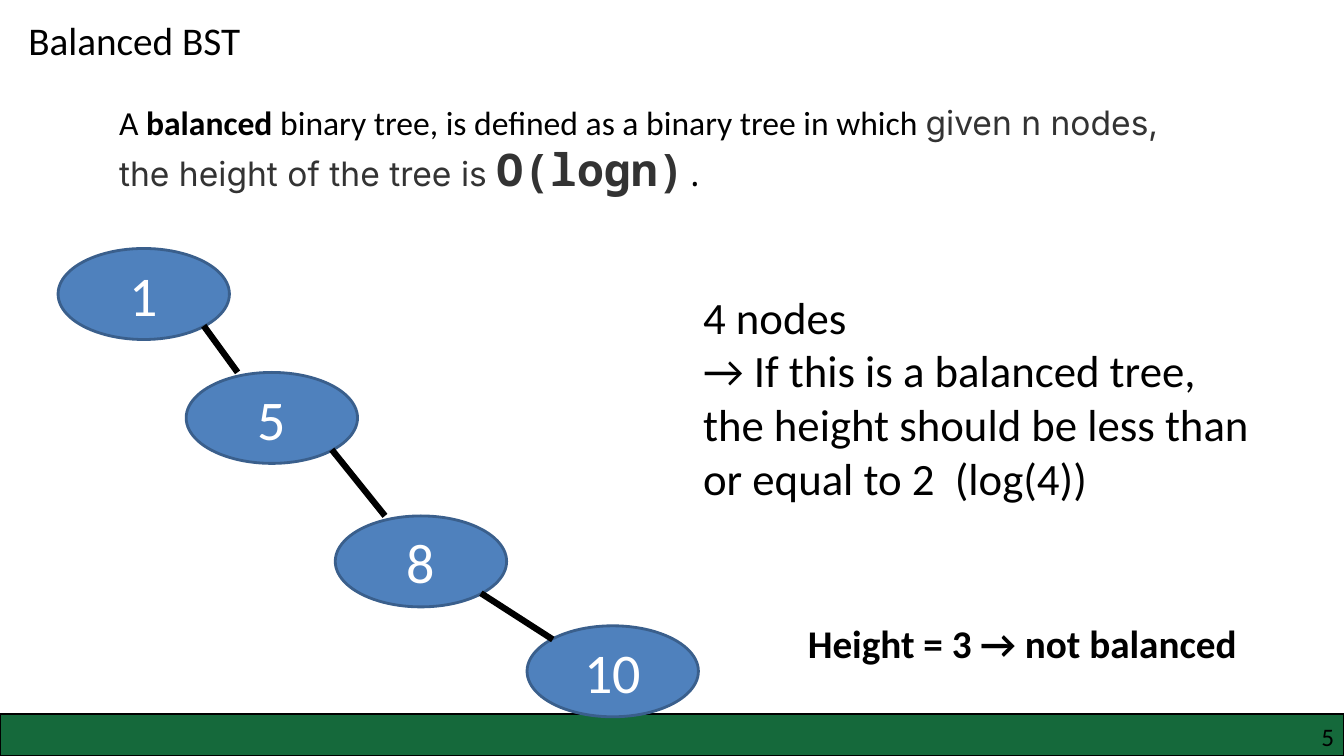
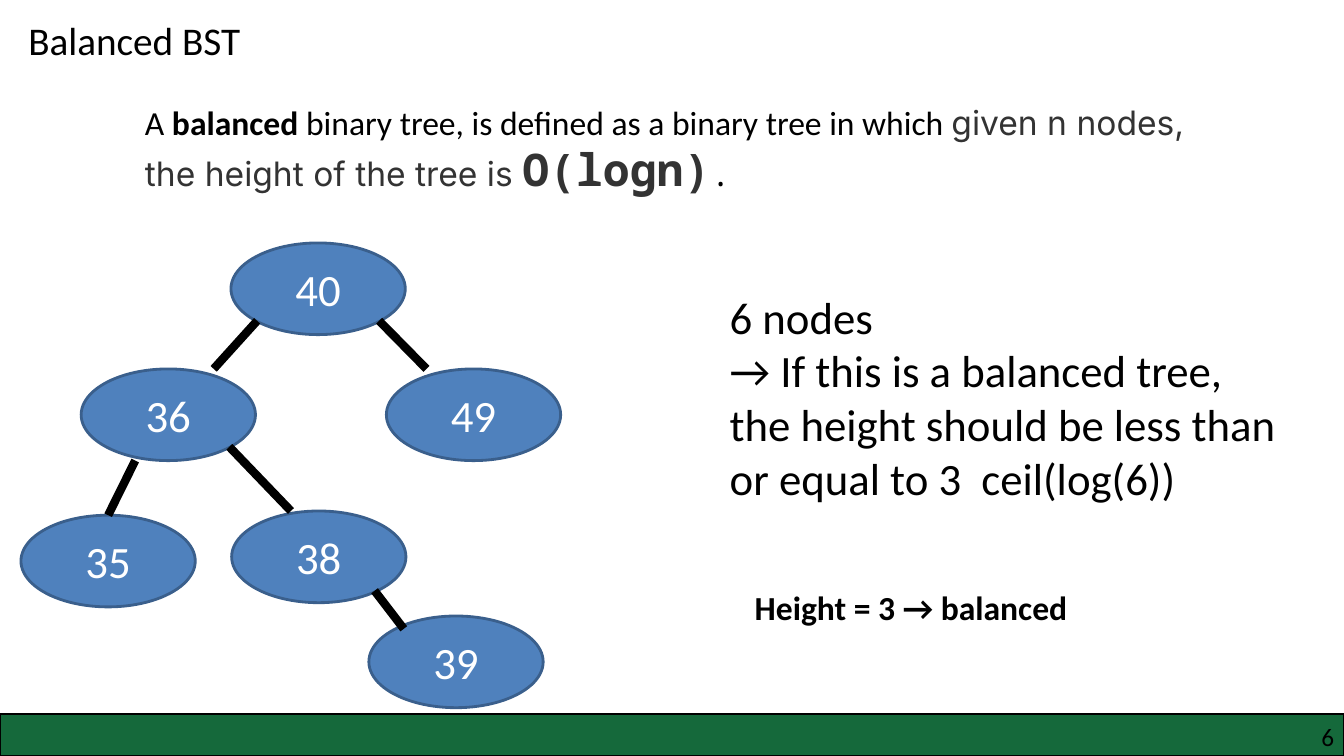
from lxml.etree import SubElement
from pptx import Presentation
from pptx.dml.color import RGBColor
from pptx.enum.shapes import MSO_CONNECTOR, MSO_SHAPE
from pptx.enum.text import MSO_ANCHOR, MSO_AUTO_SIZE, PP_ALIGN
from pptx.oxml.ns import qn
from pptx.util import Pt

GREEN, BLUE, NAVY = "15693B", "4F81BD", "3A5F8C"
BLACK, GRAY, WHITE = "000000", "333333", "FFFFFF"
W, H = 960, 540
BAND_TOP = 510


def color(value):
    return RGBColor.from_string(value)


def write(sp, box, paragraphs, align=PP_ALIGN.LEFT, anchor=MSO_ANCHOR.TOP):
    """Place a shape and fill it with paragraphs of (text, format) runs."""
    sp.left, sp.top, sp.width, sp.height = [Pt(v) for v in box]
    tf = sp.text_frame
    tf.word_wrap = True
    tf.auto_size = MSO_AUTO_SIZE.NONE
    tf.vertical_anchor = anchor
    for i, runs in enumerate(paragraphs):
        p = tf.paragraphs[0] if i == 0 else tf.add_paragraph()
        p.alignment = align
        p.space_before = Pt(0)
        for text, fmt in runs:
            r = p.add_run()
            r.text = text
            values = {"name": "Calibri", "bold": False, "color": BLACK, **fmt}
            r.font.color.rgb = color(values.pop("color"))
            for key, value in values.items():
                setattr(r.font, key, value)
    return tf


# Text formats
F24, F28, F32 = [{"size": Pt(n)} for n in (24, 28, 32)]
INTER = {**F24, "name": "Inter", "color": GRAY}
MONO = {**F32, "name": "Noto Sans Mono", "color": GRAY, "bold": True}
DEFINITION = [
    ("A ", F24),
    ("balanced", {**F24, "bold": True}),
    (" binary tree, is defined as a binary tree in which ", F24),
    ("given n nodes, the height of the tree is ", INTER),
    ("O(logn)", MONO),
    (".", {**F24, "name": "Noto Sans Mono"}),
]

# Nodes hold left and top; edges hold parent and child, each with
# the end point as a fraction of the node's width and height
LEFT, RIGHT = (0.15, 0.85), (0.85, 0.85)
TOP = (0.5, 0)
SLIDES = [
    {
        "number": "5", "text_left": 78, "claim_left": 495,
        "claim": ["4 nodes", "→ If this is a balanced tree, the height should "
                  "be less than or equal to 2  (log(4))"],
        "verdict": "Height = 3 → not balanced",
        "verdict_box": (570, 438.5, 340, 41), "verdict_size": 28,
        "node_size": (122.4, 65), "font_size": 40, "edge_width": 4.5,
        "nodes": {"1": (41.5, 177.5), "5": (133, 266),
                  "8": (239.5, 368.5), "10": (376.5, 447)},
        "edges": [("1", RIGHT, "5", (0.3, 0)),
                  ("5", RIGHT, "8", (0.29, 0)),
                  ("8", RIGHT, "10", (0.15, 0.15))],
    },
    {
        "number": "6", "text_left": 96.5, "claim_left": 514,
        "claim": ["6 nodes", "→ If this is a balanced tree, the height should "
                  "be less than or equal to 3  ceil(log(6))"],
        "verdict": "Height = 3 → balanced",
        "verdict_box": (532, 415.5, 260, 36), "verdict_size": 24,
        "node_size": (124.5, 65.5), "font_size": 32, "edge_width": 6,
        "nodes": {"40": (165, 173.5), "36": (58, 263.5), "49": (276, 263.5),
                  "35": (15, 368), "38": (165.5, 365), "39": (263.5, 440)},
        "edges": [("40", LEFT, "36", (0.76, 0)),
                  ("40", RIGHT, "49", (0.23, 0)),
                  ("36", (0.31, 1), "35", TOP),
                  ("36", RIGHT, "38", (0.34, 0)),
                  ("38", (0.82, 0.87), "39", (0.2, 0.14))],
    },
]

prs = Presentation()
prs.slide_width, prs.slide_height = Pt(W), Pt(H)

for data in SLIDES:
    s = prs.slides.add_slide(prs.slide_layouts[1])

    # Footer band and slide number
    band = s.shapes.add_shape(MSO_SHAPE.RECTANGLE, 0, Pt(BAND_TOP),
                              Pt(W), Pt(H - BAND_TOP))
    band.shadow.inherit = False
    band.fill.solid()
    band.fill.fore_color.rgb = color(GREEN)
    band.line.color.rgb = color(BLACK)
    band.line.width = Pt(1)
    tf = write(s.shapes.add_textbox(0, 0, 0, 0), (732, 515, 221, 22),
               [[(data["number"], {"size": Pt(18)})]], PP_ALIGN.RIGHT)
    for side in ("left", "top", "right", "bottom"):
        setattr(tf, f"margin_{side}", 0)

    # Title and definition
    write(s.shapes.title, (13, 8, 300, 41), [[("Balanced BST", F28)]])
    write(s.shapes.add_textbox(0, 0, 0, 0),
          (data["text_left"], 69, 767, 75), [DEFINITION])

    # Claim about the height, without bullets
    tf = write(s.placeholders[1], (data["claim_left"], 203, 416, 163),
               [[(line, F32)] for line in data["claim"]])
    for p in tf.paragraphs:
        pPr = p._p.get_or_add_pPr()
        pPr.set("marL", "0")
        pPr.set("indent", "0")
        SubElement(pPr, qn("a:buNone"))

    # Tree nodes
    nodes = {}
    w, h = data["node_size"]
    for label, (x, y) in data["nodes"].items():
        sp = s.shapes.add_shape(MSO_SHAPE.OVAL, 0, 0, 0, 0)
        sp.shadow.inherit = False
        sp.fill.solid()
        sp.fill.fore_color.rgb = color(BLUE)
        sp.line.color.rgb = color(NAVY)
        sp.line.width = Pt(2)
        fmt = {"size": Pt(data["font_size"]), "color": WHITE}
        write(sp, (x, y, w, h), [[(label, fmt)]],
              PP_ALIGN.CENTER, MSO_ANCHOR.MIDDLE)
        nodes[label] = sp

    # Tree edges
    for parent, start, child, end in data["edges"]:
        points = []
        for label, (fx, fy) in ((parent, start), (child, end)):
            x, y = data["nodes"][label]
            points += [Pt(x + fx * w), Pt(y + fy * h)]
        edge = s.shapes.add_connector(MSO_CONNECTOR.STRAIGHT, *points)
        if end == TOP:
            edge.end_connect(nodes[child], 0)
        edge.line.color.rgb = color(BLACK)
        edge.line.width = Pt(data["edge_width"])
        SubElement(edge._element.spPr, qn("a:effectLst"))

    # Verdict
    fmt = {"size": Pt(data["verdict_size"]), "bold": True}
    write(s.shapes.add_textbox(0, 0, 0, 0), data["verdict_box"],
          [[(data["verdict"], fmt)]])

prs.save("out.pptx")
